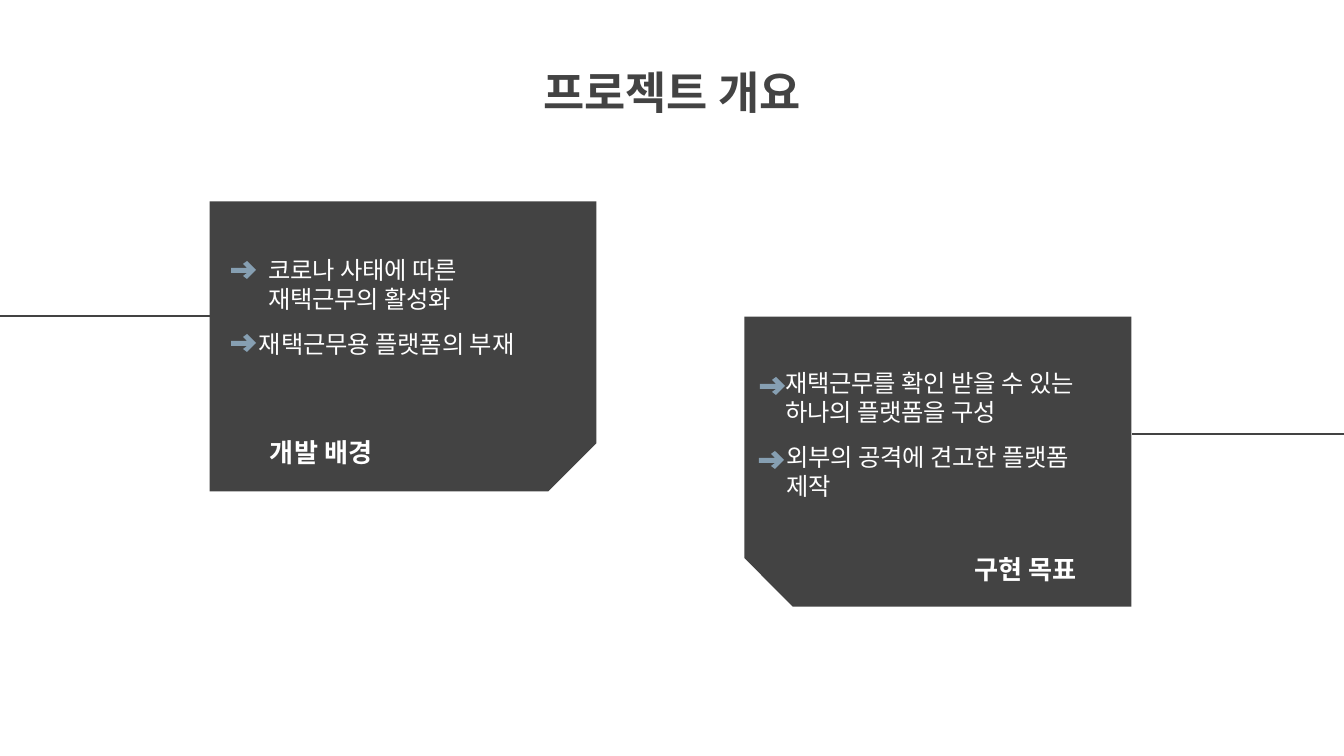
from lxml.etree import SubElement
from pptx import Presentation
from pptx.dml.color import RGBColor
from pptx.enum.shapes import MSO_CONNECTOR, MSO_SHAPE
from pptx.enum.text import MSO_ANCHOR as ANCHOR, PP_ALIGN as ALIGN
from pptx.oxml.ns import qn
from pptx.util import Pt

PX = 6804  # EMU per px
W, H = 1344, 756
INSET = 13
COLORS = {"dark": "434343", "white": "FFFFFF", "arrow": "869FB2"}
HEAD, BODY = "Calibri", "Roboto Condensed"

# Content: boxes are left, top, width, height; each item has an arrow and a text corner
TITLE = ("프로젝트 개요", (289, 52, 766, 138))
CARDS = [
    {
        "box": (210, 201, 387, 290), "rotation": 90, "flip": False,
        "line": (0, 210, 316),
        "label": ("개발 배경", (257, 418, 185, 63), ALIGN.LEFT),
        "items": [
            ("코로나 사태에 따른 재택근무의 활성화", (231, 261), (255, 242)),
            ("재택근무용 플랫폼의 부재", (231, 334), (246, 316)),
        ],
    },
    {
        "box": (745, 316, 387, 290), "rotation": 270, "flip": True,
        "line": (1132, W, 434),
        "label": ("구현 목표", (828, 535, 262, 63), ALIGN.RIGHT),
        "items": [
            ("재택근무를 확인 받을 수 있는 하나의 플랫폼을 구성", (760, 377), (772, 355)),
            ("외부의 공격에 견고한 플랫폼 제작", (759, 451), (773, 429)),
        ],
    },
]
ITEM_SIZE = (317, 148)
ARROW = [(16, 0), (12, 3), (16, 7), (0, 7), (0, 12), (16, 12), (12, 15), (16, 18), (25, 9)]


def emu(*values):
    return [v * PX for v in values]


def rgb(name):
    return RGBColor.from_string(COLORS[name])


def paint(sp, color):
    sp.fill.solid()
    sp.fill.fore_color.rgb = rgb(color)
    sp.line.fill.background()
    sp.shadow.inherit = False


def add_text(text, box, font, size, color, bold=False, align=ALIGN.LEFT, anchor=ANCHOR.TOP):
    tf = slide.shapes.add_textbox(*emu(*box)).text_frame
    tf.word_wrap = True
    tf.vertical_anchor = anchor
    tf.margin_left = tf.margin_right = tf.margin_top = tf.margin_bottom = INSET * PX
    p = tf.paragraphs[0]
    p.text = text
    p.alignment = align
    f = p.runs[0].font
    f.name, f.size, f.bold = font, Pt(size), bold
    f.color.rgb = rgb(color)
    # Korean glyphs use the East Asian font
    SubElement(p.runs[0]._r.get_or_add_rPr(), qn("a:ea")).set("typeface", font)


def add_card(box, rotation, flip):
    x, y, w, h = box
    # A quarter turn swaps width and height around the same centre
    sp = slide.shapes.add_shape(
        MSO_SHAPE.SNIP_1_RECTANGLE, *emu(x + (w - h) // 2, y - (w - h) // 2, h, w))
    sp.rotation = rotation
    if flip:
        sp._element.spPr.find(qn("a:xfrm")).set("flipH", "1")
    paint(sp, "dark")


def add_line(x1, x2, y):
    line = slide.shapes.add_connector(MSO_CONNECTOR.STRAIGHT, *emu(x1, y, x2, y))
    line.line.color.rgb = rgb("dark")
    line.line.width = Pt(0.75)
    SubElement(line._element.spPr, qn("a:effectLst"))


def add_arrow(x, y):
    fb = slide.shapes.build_freeform(*ARROW[0], scale=PX)
    fb.add_line_segments(ARROW[1:], close=True)
    paint(fb.convert_to_shape(*emu(x, y)), "arrow")


prs = Presentation()
prs.slide_width, prs.slide_height = emu(W, H)
slide = prs.slides.add_slide(prs.slide_layouts[6])

# Title
add_text(*TITLE, HEAD, 24, "dark", bold=True, align=ALIGN.CENTER)

# Cards with their lines, labels and items
for card in CARDS:
    add_card(card["box"], card["rotation"], card["flip"])
    add_line(*card["line"])
    label, box, align = card["label"]
    add_text(label, box, HEAD, 14, "white", bold=True, align=align, anchor=ANCHOR.BOTTOM)
    for text, arrow, corner in card["items"]:
        add_arrow(*arrow)
        add_text(text, corner + ITEM_SIZE, BODY, 13, "white")

prs.save("out.pptx")
